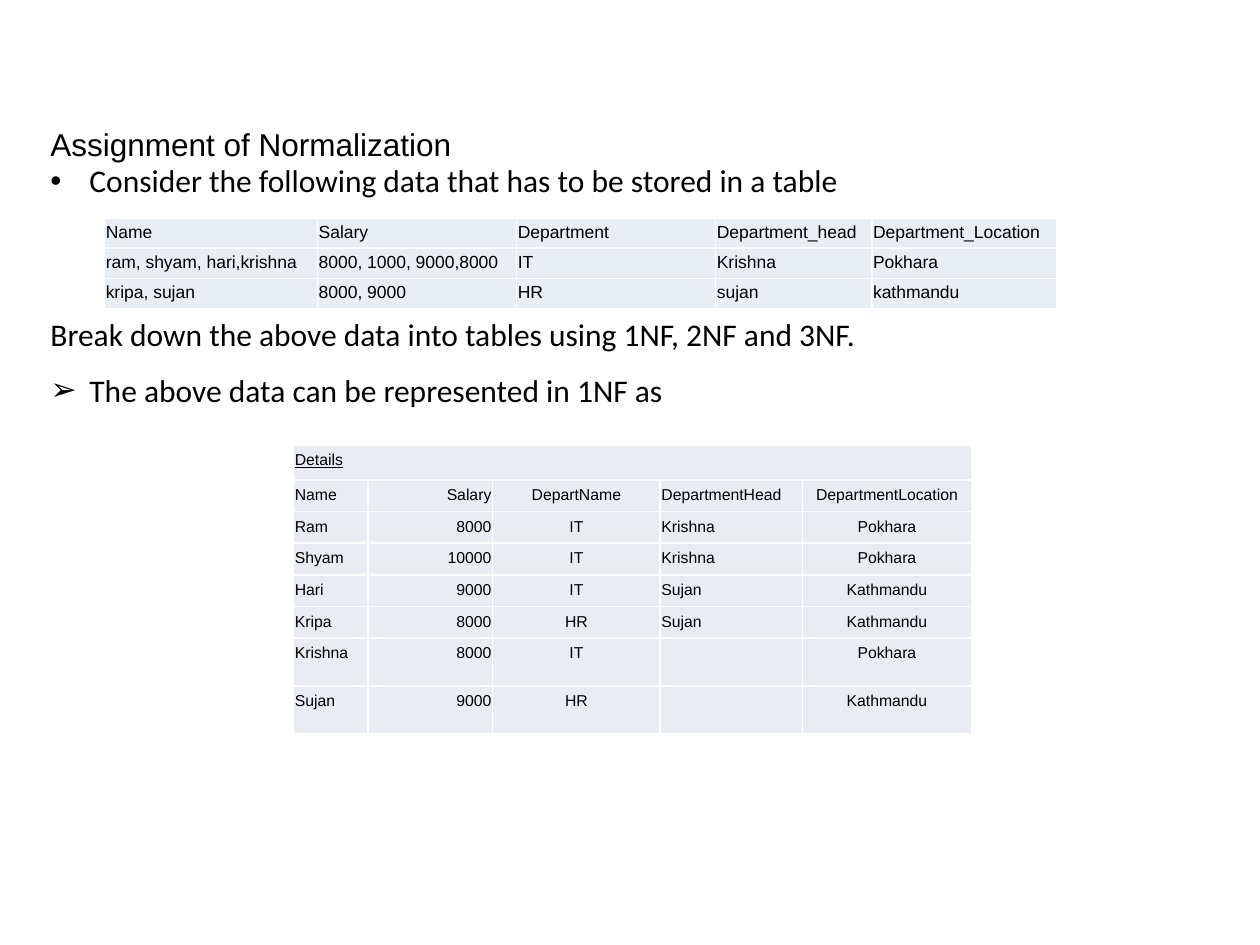
from lxml.etree import SubElement
from pptx import Presentation
from pptx.dml.color import RGBColor
from pptx.enum.text import MSO_ANCHOR, PP_ALIGN
from pptx.oxml.ns import qn
from pptx.util import Inches, Pt

COLORS = {"text": "000000", "border": "FFFFFF", "details": "E9ECF3", "source": "E9EDF4"}
LEFT, CENTER, RIGHT = PP_ALIGN.LEFT, PP_ALIGN.CENTER, PP_ALIGN.RIGHT


def write(frame, lines, font_name, size, anchor=MSO_ANCHOR.TOP):
    """Fill a text frame with (text, bullet, space before in points) lines."""
    settings = {"word_wrap": True, "vertical_anchor": anchor, "margin_left": 0,
                "margin_top": 0, "margin_right": 0, "margin_bottom": 0}
    for name, value in settings.items():
        setattr(frame, name, value)
    for index, (text, bullet, space) in enumerate(lines):
        para = frame.add_paragraph() if index else frame.paragraphs[0]
        para.alignment = LEFT
        para.space_before = Pt(space)
        if bullet:
            properties = para._p.get_or_add_pPr()
            properties.set("marL", str(Inches(0.31)))
            properties.set("indent", str(-Inches(0.31)))
            SubElement(properties, qn("a:buFont"), typeface="Arial")
            SubElement(properties, qn("a:buChar"), char=bullet)
        span = para.add_run()
        span.text = text
        span.font.name, span.font.size = font_name, Pt(size)
        span.font.color.rgb = RGBColor.from_string(COLORS["text"])


def add_grid(slide, left, top, widths, heights, rows, style):
    """Add a table with one fill, thin borders and an alignment per column."""
    table = slide.shapes.add_table(
        len(rows), len(widths), Inches(left), Inches(top),
        Inches(sum(widths)), Inches(sum(heights))).table
    table.first_row = table.horz_banding = False
    for column, width in zip(table.columns, widths):
        column.width = Inches(width)
    for row, height in zip(table.rows, heights):
        row.height = Inches(height)
    for r, values in enumerate(rows):
        for c, value in enumerate(values):
            cell = table.cell(r, c)
            cell.margin_left = cell.margin_right = Inches(0.01)
            cell.margin_top, cell.margin_bottom = Inches(style["margin_top"]), Inches(0.05)
            cell.vertical_anchor = style["anchor"]
            para = cell.text_frame.paragraphs[0]
            para.alignment = style["aligns"][c]
            if value:
                span = para.add_run()
                span.text = value
                span.font.name, span.font.size = "Arial", Pt(style["size"])
                span.font.color.rgb = RGBColor.from_string(COLORS["text"])
            else:
                # An empty cell needs a small font so its row does not grow
                SubElement(para._p, qn("a:endParaRPr"), sz=str(style["size"] * 100))
            properties = cell._tc.get_or_add_tcPr()
            for side in ("lnL", "lnR", "lnT", "lnB"):
                line = SubElement(properties, qn(f"a:{side}"), w=str(Pt(1)))
                fill = SubElement(line, qn("a:solidFill"))
                SubElement(fill, qn("a:srgbClr"), val=COLORS["border"])
            cell.fill.solid()
            cell.fill.fore_color.rgb = RGBColor.from_string(style["fill"])
    return table


deck = Presentation()
deck.slide_width, deck.slide_height = Inches(10), Inches(7.5)
page = deck.slides.add_slide(deck.slide_layouts[5])

title = page.shapes.title
title.left, title.top = Inches(0.4), Inches(0.99)
title.width, title.height = Inches(9.18), Inches(0.29)
write(title.text_frame, [("Assignment of Normalization", None, 0)], "Arial", 18)

# The space before the second line leaves room for the source table
task_box = page.shapes.add_textbox(Inches(0.4), Inches(1.28), Inches(9.18), Inches(1.53))
write(task_box.text_frame, [
    ("Consider the following data that has to be stored in a table", "•", 0),
    ("Break down the above data into tables using 1NF, 2NF and 3NF.", None, 66),
], "Calibri", 18)

answer_box = page.shapes.add_textbox(Inches(0.4), Inches(2.9), Inches(9), Inches(0.39))
write(answer_box.text_frame, [("The above data can be represented in 1NF as", "➢", 0)],
      "Calibri", 18, MSO_ANCHOR.MIDDLE)

details_rows = [
    ["Details", "", "", "", ""],
    ["Name", "Salary", "DepartName", "DepartmentHead", "DepartmentLocation"],
    ["Ram", "8000", "IT", "Krishna", "Pokhara"],
    ["Shyam", "10000", "IT", "Krishna", "Pokhara"],
    ["Hari", "9000", "IT", "Sujan", "Kathmandu"],
    ["Kripa", "8000", "HR", "Sujan", "Kathmandu"],
    ["Krishna", "8000", "IT", "", "Pokhara"],
    ["Sujan", "9000", "HR", "", "Kathmandu"],
]
details = add_grid(
    page, 2.33, 3.53, [0.59, 0.99, 1.33, 1.13, 1.34], [0.28] + [0.25] * 5 + [0.38] * 2,
    details_rows,
    {"size": 9, "fill": COLORS["details"], "margin_top": 0.05, "anchor": MSO_ANCHOR.TOP,
     "aligns": [LEFT, RIGHT, CENTER, LEFT, CENTER]})
details.cell(0, 0).merge(details.cell(0, 4))
details.cell(0, 0).text_frame.paragraphs[0].runs[0].font.underline = True

source_rows = [
    ["Name", "Salary", "Department", "Department_head", "Department_Location"],
    ["ram, shyam, hari,krishna", "8000, 1000, 9000,8000", "IT", "Krishna", "Pokhara"],
    ["kripa, sujan", "8000, 9000", "HR", "sujan", "kathmandu"],
]
add_grid(
    page, 0.83, 1.73, [1.69, 1.58, 1.58, 1.24, 1.47], [0.24] * 3, source_rows,
    {"size": 10, "fill": COLORS["source"], "margin_top": 0.01, "anchor": MSO_ANCHOR.BOTTOM,
     "aligns": [LEFT] * 5})

deck.save("out.pptx")
